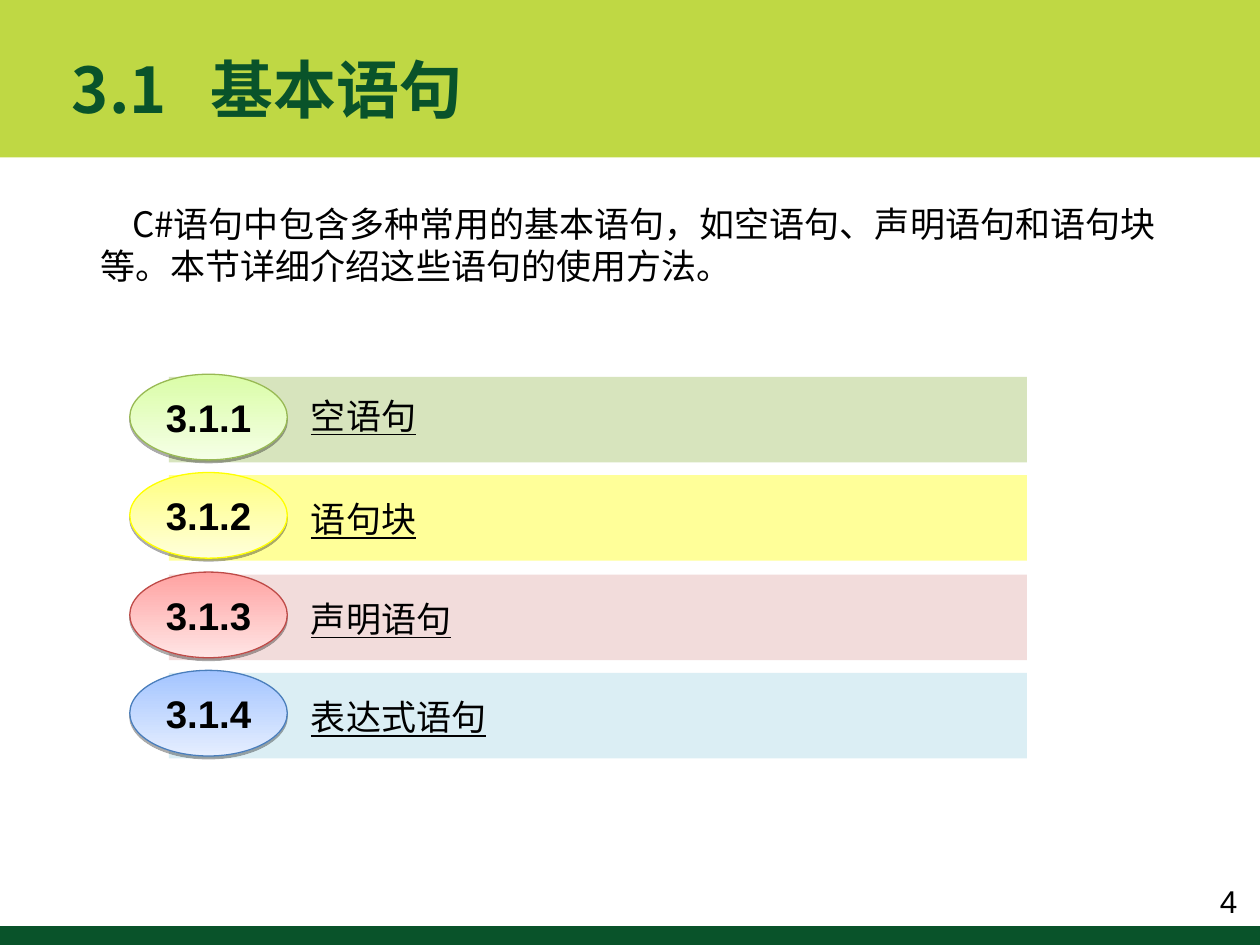
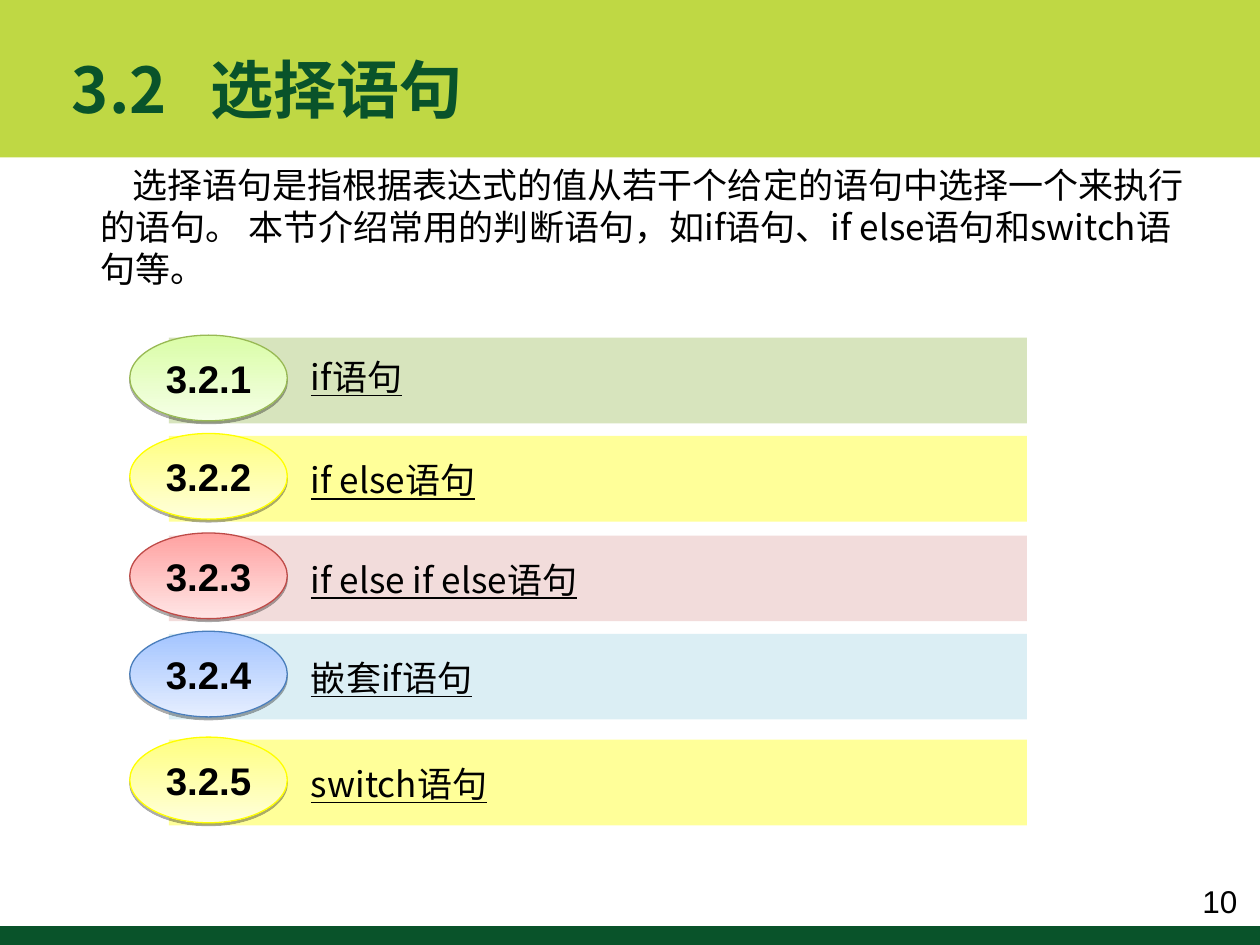
import dataclasses
import pptx
import pptx.util
import pptx.dml.color
import pptx.enum.shapes
import pptx.enum.text
import pptx.oxml
import pptx.oxml.ns
import lxml.etree

Inches = pptx.util.Inches
Shape = pptx.enum.shapes.MSO_SHAPE
Align = pptx.enum.text.PP_ALIGN
Anchor = pptx.enum.text.MSO_ANCHOR
qn = pptx.oxml.ns.qn
rgb = pptx.dml.color.RGBColor.from_string


@dataclasses.dataclass(frozen=True)
class Theme:
    lime: str = "BFD844"
    green: str = "09532A"
    ink: str = "000000"
    sans: str = "Noto Sans CJK SC"
    latin: str = "Arial"
    title: int = 36
    badge: int = 22
    body: int = 20
    page: int = 18


theme = Theme()

# Row colours: bar, badge gradient top and bottom, badge outline
lime = ("D7E4BD", "DAFDA7", "F5FFE6", "98B954")
yellow = ("FFFF99", "FFFF80", "FFFFDA", "FFFF00")
red = ("F2DCDB", "FFA2A1", "FFE5E5", "BE4B48")
blue = ("DBEEF4", "A3C4FF", "E5EEFF", "4A7EBB")
rows = (lime, yellow, red, blue, yellow)
steps = (0, 0.78, 1.57, 2.35, 3.19)

# Section, heading, page, intro top, intro, first row top, row labels
topics = [
    ("3.1", "基本语句", "4", 1.56,
     "C#语句中包含多种常用的基本语句，如空语句、声明语句和语句块等。"
     "本节详细介绍这些语句的使用方法。",
     2.99, ["空语句", "语句块", "声明语句", "表达式语句"]),
    ("3.2", "选择语句", "10", 1.25,
     "选择语句是指根据表达式的值从若干个给定的语句中选择一个来执行的语句。 "
     "本节介绍常用的判断语句，如if语句、if else语句和switch语句等。",
     2.68, ["if语句", "if else语句", "if else if else语句", "嵌套if语句", "switch语句"]),
]


def write(shape, text, size, face, color=theme.ink, bold=False, align=Align.LEFT,
          anchor=Anchor.TOP):
    """Fill a shape with one styled paragraph and return the paragraph."""
    frame = shape.text_frame
    frame.word_wrap = True
    frame.auto_size = pptx.enum.text.MSO_AUTO_SIZE.NONE
    frame.vertical_anchor = anchor
    frame.text = text
    para = frame.paragraphs[0]
    para.alignment = align
    font = para.font
    font.size, font.bold, font.name = pptx.util.Pt(size), bold, face
    font.color.rgb = rgb(color)
    mark = para._p.pPr.find(qn("a:defRPr"))
    lxml.etree.SubElement(mark, qn("a:ea")).set("typeface", face)
    return para


def draw(shapes, kind, left, top, width, height, color):
    """Add a plain filled shape without line or shadow."""
    shape = shapes.add_shape(kind, Inches(left), Inches(top), Inches(width), Inches(height))
    shape.shadow.inherit = False
    shape.fill.solid()
    shape.fill.fore_color.rgb = rgb(color)
    shape.line.fill.background()
    return shape


deck = pptx.Presentation()
deck.slide_width, deck.slide_height = Inches(10), Inches(7.5)
layout = deck.slide_layouts[5]

for num, (section, heading, page, high, intro, first, labels) in enumerate(topics):
    slide = deck.slides.add_slide(layout)
    shapes = slide.shapes

    # Shared bands, moved to the layout behind its placeholders
    if num == 0:
        tree = layout.shapes._spTree
        for spot, (top, tall, color) in enumerate([(0, 1.25, theme.lime),
                                                   (7.35, 0.15, theme.green)]):
            band = draw(shapes, Shape.RECTANGLE, 0, top, 10, tall, color)
            tree.insert(2 + spot, band._element)

    # Title, with a tab between number and heading
    title = shapes.title
    title.left, title.top = Inches(0.47), Inches(0.23)
    title.width, title.height = Inches(6.8), Inches(0.95)
    para = write(title, f"{section}\t{heading}", theme.title, theme.sans,
                 theme.green, bold=True, anchor=Anchor.MIDDLE)
    tabs = lxml.etree.Element(qn("a:tabLst"))
    tab = lxml.etree.SubElement(tabs, qn("a:tab"))
    tab.set("pos", str(Inches(1.1)))
    tab.set("algn", "l")
    para._p.pPr.insert(0, tabs)

    # Intro with an indented first line
    box = shapes.add_textbox(Inches(0.7), Inches(high), Inches(8.83), Inches(2.35 - high))
    para = write(box, intro, theme.body, theme.sans)
    para._p.pPr.set("indent", str(Inches(0.25)))

    # Contents rows: bar, numbered badge, underlined label
    for row, (label, step, look) in enumerate(zip(labels, steps, rows)):
        top = first + step
        bar, light, pale, edge = look
        group = shapes.add_group_shape()
        draw(group.shapes, Shape.RECTANGLE, 1.34, top, 6.81, 0.68, bar)
        badge = draw(group.shapes, Shape.OVAL, 1.03, top - 0.02, 1.25, 0.68, light)
        badge.fill.gradient()
        badge.fill.gradient_angle = 270
        for stop, color in zip(badge.fill.gradient_stops, (light, pale)):
            stop.color.rgb = rgb(color)
        badge.line.color.rgb = rgb(edge)
        badge.line.width = pptx.util.Pt(0.75)
        glow = badge._element.spPr.find(qn("a:effectLst"))
        cast = lxml.etree.SubElement(glow, qn("a:outerShdw"))
        for key, value in (("dist", "20320"), ("dir", "5400000"), ("rotWithShape", "0")):
            cast.set(key, value)
        tint = lxml.etree.SubElement(cast, qn("a:srgbClr"))
        tint.set("val", theme.ink)
        lxml.etree.SubElement(tint, qn("a:alpha")).set("val", "33000")
        write(badge, f"{section}.{row + 1}", theme.badge, theme.latin, bold=True,
              align=Align.CENTER, anchor=Anchor.MIDDLE)

        drop = 0.13 if row else 0.09
        box = shapes.add_textbox(Inches(2.37), Inches(top + drop), Inches(3.44), Inches(0.44))
        write(box, label, theme.body, theme.sans).font.underline = True

    # Page number
    box = shapes.add_textbox(Inches(7.59), Inches(6.95), Inches(2.33), Inches(0.4))
    write(box, page, theme.page, theme.latin, align=Align.RIGHT)

deck.save("out.pptx")
